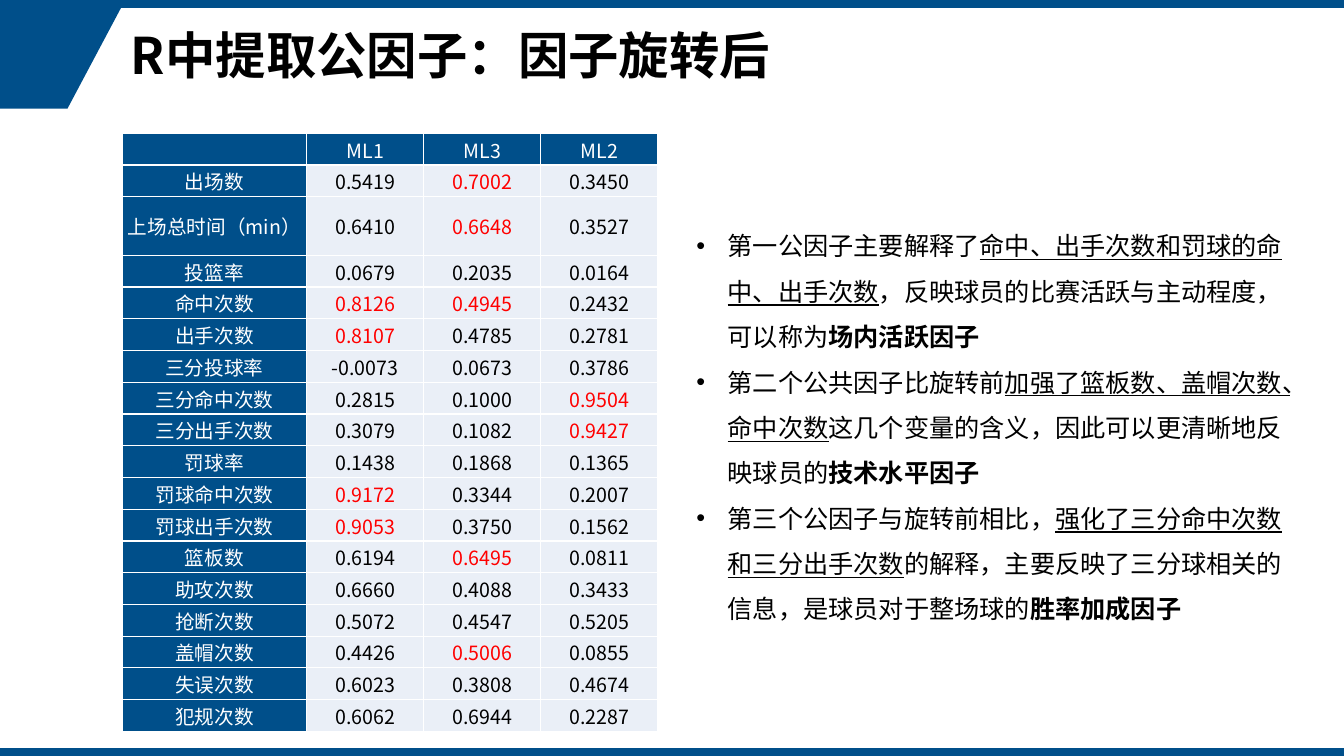
from lxml.etree import SubElement
from pptx import Presentation
from pptx.dml.color import RGBColor
from pptx.enum.shapes import MSO_SHAPE
from pptx.enum.text import MSO_ANCHOR, PP_ALIGN
from pptx.oxml import parse_xml
from pptx.oxml.ns import nsdecls, qn
from pptx.util import Cm, Pt

WIDTH, HEIGHT = 33.87, 19.05
BAND = 0.2
ROW, TWO_LINE_ROW = 0.8, 1.47

# An asterisk marks a highlighted loading.
LOADINGS = """
出场数 0.5419 0.7002* 0.3450
上场总时间（min） 0.6410 0.6648* 0.3527
投篮率 0.0679 0.2035 0.0164
命中次数 0.8126* 0.4945* 0.2432
出手次数 0.8107* 0.4785 0.2781
三分投球率 -0.0073 0.0673 0.3786
三分命中次数 0.2815 0.1000 0.9504*
三分出手次数 0.3079 0.1082 0.9427*
罚球率 0.1438 0.1868 0.1365
罚球命中次数 0.9172* 0.3344 0.2007
罚球出手次数 0.9053* 0.3750 0.1562
篮板数 0.6194 0.6495* 0.0811
助攻次数 0.6660 0.4088 0.3433
抢断次数 0.5072 0.4547 0.5205
盖帽次数 0.4426 0.5006* 0.0855
失误次数 0.6023 0.3808 0.4674
犯规次数 0.6062 0.6944 0.2287
"""

# Each factor: plain opening, underlined part, plain closing, bold name.
FACTORS = [
    ("第一公因子主要解释了", "命中、出手次数和罚球的命中、出手次数",
     "，反映球员的比赛活跃与主动程度，可以称为", "场内活跃因子"),
    ("第二个公共因子比旋转前", "加强了篮板数、盖帽次数、命中次数",
     "这几个变量的含义，因此可以更清晰地反映球员的", "技术水平因子"),
    ("第三个公因子与旋转前相比，", "强化了三分命中次数和三分出手次数",
     "的解释，主要反映了三分球相关的信息，是球员对于整场球的", "胜率加成因子"),
]


def color(value):
    return RGBColor.from_string(value)


class SlideWriter:
    font = "Noto Sans CJK SC"
    blue, pale, white, black, red = "004F8A", "EAEFF7", "FFFFFF", "000000", "FF0000"

    def __init__(self, page):
        self.page = page

    def paint(self, shape):
        shape.shadow.inherit = False
        shape.fill.solid()
        shape.fill.fore_color.rgb = color(self.blue)
        shape.line.fill.background()

    def band(self, top):
        self.paint(self.page.shapes.add_shape(
            MSO_SHAPE.RECTANGLE, 0, Cm(top), Cm(WIDTH), Cm(BAND)))

    def outline(self, points):
        corners = [(Cm(x), Cm(y)) for x, y in points]
        builder = self.page.shapes.build_freeform(*corners[0])
        builder.add_line_segments(corners[1:])
        self.paint(builder.convert_to_shape())

    def span(self, para, text, size, ink=black, bold=False, underline=False):
        span = para.add_run()
        span.text = text
        font = span.font
        font.name, font.size = self.font, Pt(size)
        font.bold, font.underline = bold, underline
        font.color.rgb = color(ink)
        properties = span._r.get_or_add_rPr()
        properties.set("lang", "zh-CN")
        SubElement(properties, qn("a:ea"), typeface=self.font)

    def text_frame(self, left, top, width, height, anchor):
        box = self.page.shapes.add_textbox(Cm(left), Cm(top), Cm(width), Cm(height))
        frame = box.text_frame
        frame.word_wrap = True
        frame.vertical_anchor = anchor
        return frame

    def title(self, text, left, top, width, height):
        para = self.text_frame(left, top, width, height, MSO_ANCHOR.MIDDLE).paragraphs[0]
        para.line_spacing = 0.9
        self.span(para, text, 36, bold=True)

    def bullets(self, items, left, top, width, height):
        frame = self.text_frame(left, top, width, height, MSO_ANCHOR.TOP)
        for index, (opening, stressed, closing, name) in enumerate(items):
            para = frame.add_paragraph() if index else frame.paragraphs[0]
            para.line_spacing = 1.5
            properties = para._p.get_or_add_pPr()
            properties.set("marL", str(Cm(0.79)))
            properties.set("indent", str(-Cm(0.79)))
            SubElement(properties, qn("a:buFont"), typeface="Arial")
            SubElement(properties, qn("a:buChar"), char="•")
            self.span(para, opening, 18)
            self.span(para, stressed, 18, underline=True)
            self.span(para, closing, 18)
            self.span(para, name, 18, bold=True)

    def cell(self, cell, text, fill, ink):
        cell.margin_left = cell.margin_right = cell.margin_top = Cm(0.02)
        cell.margin_bottom = 0
        cell.vertical_anchor = MSO_ANCHOR.MIDDLE
        cell.fill.solid()
        cell.fill.fore_color.rgb = color(fill)
        properties = cell._tc.get_or_add_tcPr()
        for position, side in enumerate("LRTB"):
            properties.insert(position, parse_xml(
                f'<a:ln{side} {nsdecls("a")} w="{Pt(1)}"><a:solidFill>'
                f'<a:srgbClr val="{self.white}"/></a:solidFill></a:ln{side}>'))
        para = cell.text_frame.paragraphs[0]
        para.alignment = PP_ALIGN.CENTER
        self.span(para, text, 14, ink)

    def table(self, rows, left, top, widths, heights):
        table = self.page.shapes.add_table(
            len(rows), len(widths), Cm(left), Cm(top),
            Cm(sum(widths)), Cm(sum(heights))).table
        table.first_row = table.horz_banding = False
        for column, width in zip(table.columns, widths):
            column.width = Cm(width)
        for r, (values, height) in enumerate(zip(rows, heights)):
            table.rows[r].height = Cm(height)
            for c, value in enumerate(values):
                if r == 0 or c == 0:
                    fill, ink = self.blue, self.white
                else:
                    fill, ink = self.pale, self.red if value.endswith("*") else self.black
                self.cell(table.cell(r, c), value.rstrip("*"), fill, ink)


def main():
    deck = Presentation()
    deck.slide_width, deck.slide_height = Cm(WIDTH), Cm(HEIGHT)
    writer = SlideWriter(deck.slides.add_slide(deck.slide_layouts[6]))
    writer.outline([(0, BAND), (3.05, BAND), (1.7, 2.74), (0, 2.74)])
    for top in (0, HEIGHT - BAND):
        writer.band(top)
    writer.title("R中提取公因子：因子旋转后", 3.05, BAND, 28.5, 2.54)
    rows = [["", "ML1", "ML3", "ML2"]]
    rows += [line.split() for line in LOADINGS.strip().splitlines()]
    # The label with a unit wraps onto a second line.
    heights = [TWO_LINE_ROW if "（" in row[0] else ROW for row in rows]
    writer.table(rows, 3.08, 3.36, [4.65, 2.95, 2.95, 2.95], heights)
    writer.bullets(FACTORS, 17.3, 5.31, 15.47, 10.52)
    deck.save("out.pptx")


if __name__ == "__main__":
    main()
